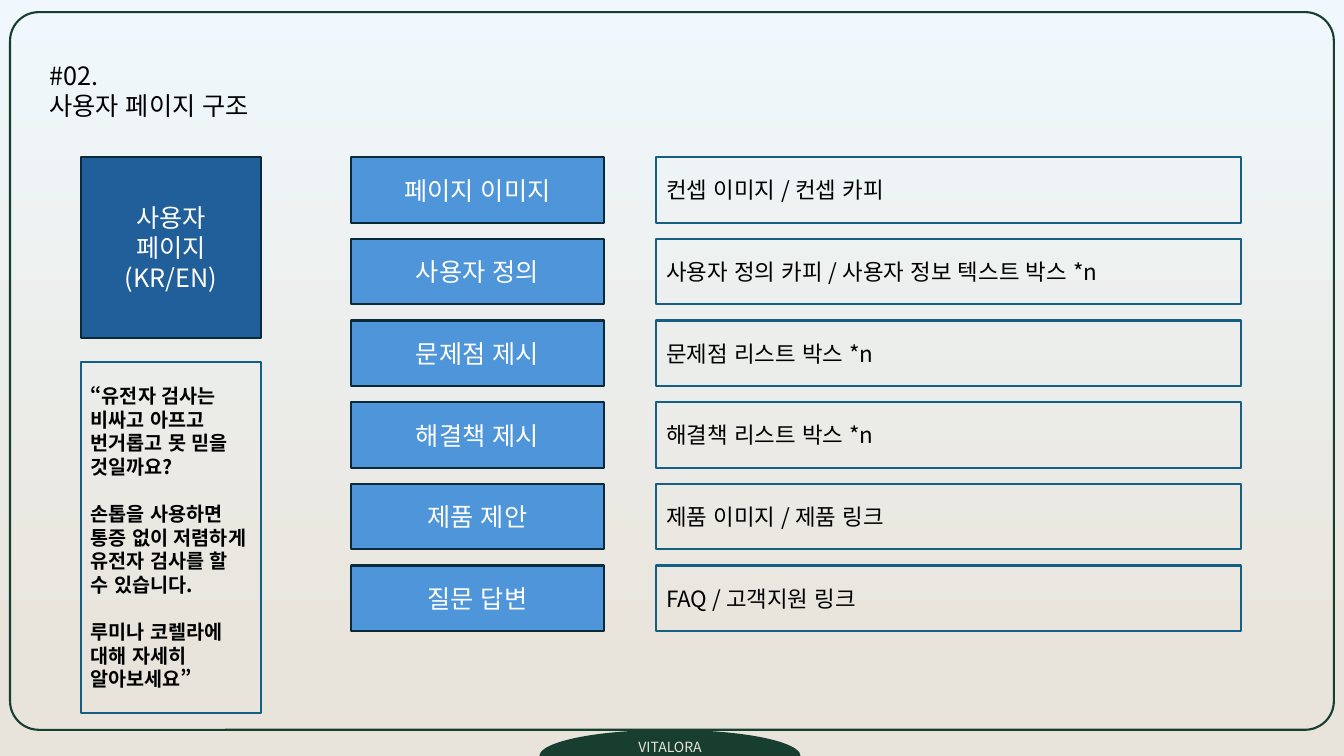
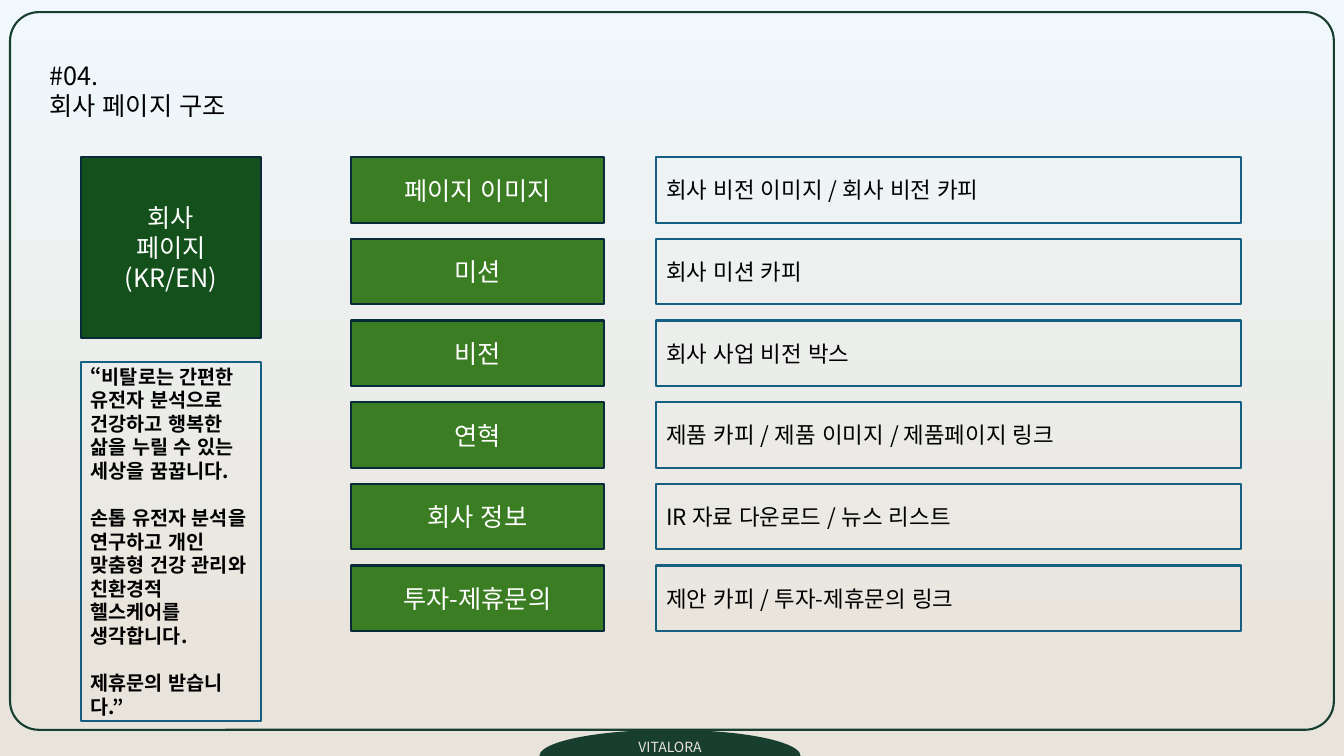
from dataclasses import dataclass
from typing import Optional

from lxml.etree import SubElement
from pptx import Presentation
from pptx.dml.color import RGBColor
from pptx.enum.lang import MSO_LANGUAGE_ID
from pptx.enum.shapes import MSO_SHAPE
from pptx.enum.text import MSO_ANCHOR, PP_ALIGN
from pptx.oxml.ns import qn
from pptx.util import Inches, Pt

WIDTH, HEIGHT = 13.33, 7.5
FONT = "Noto Sans CJK KR"
SKY, SAND, FOREST = "F0F8FD", "E8E4DB", "183E30"
NAVY, TEAL, BLACK, WHITE = "092A39", "156082", "000000", "FFFFFF"
ROW_TOP, ROW_PITCH, ROW_HEIGHT = 1.56, 0.81, 0.65
HERO_LEFT, HERO_SIDE, QUOTE_TOP = 0.8, 1.79, 3.59
SECTION_LEFT, SECTION_WIDTH = 3.48, 2.51
DETAIL_LEFT, DETAIL_WIDTH = 6.51, 5.8
TAB_WIDTH, TAB_HEIGHT, TAB_LEFT = 2.59, 0.52, 5.35


@dataclass(frozen=True)
class Box:
    """Place of an element in inches."""
    left: float
    top: float
    width: float
    height: float

    def emu(self) -> tuple:
        """Return the place as lengths for python-pptx."""
        return tuple(Inches(n) for n in (self.left, self.top, self.width, self.height))


@dataclass(frozen=True)
class Style:
    """Look of a text."""
    size: float
    color: str = BLACK
    bold: bool = False
    align: PP_ALIGN = PP_ALIGN.LEFT
    gap: float = 0


@dataclass(frozen=True)
class Page:
    """Content of one page-structure slide."""
    title: str
    hero: str
    hero_fill: str
    section_fill: str
    quote: str
    quote_height: float
    sections: tuple


TITLE = Style(18)
LABEL = Style(18, WHITE, align=PP_ALIGN.CENTER)
DETAIL = Style(16)
QUOTE = Style(14, bold=True, gap=17)
BRAND = Style(10, SAND, align=PP_ALIGN.CENTER)

PAGES = (
    Page(
        "#02.\v사용자 페이지 구조", "사용자\n페이지\n(KR/EN)", "215F9A", "4E95D9",
        "“유전자 검사는 비싸고 아프고 번거롭고 못 믿을 것일까요?\n"
        "손톱을 사용하면 통증 없이 저렴하게 유전자 검사를 할 수 있습니다.\n"
        "루미나 코렐라에 대해 자세히 알아보세요”", 3.48,
        (
            ("페이지 이미지", "컨셉 이미지 / 컨셉 카피"),
            ("사용자 정의", "사용자 정의 카피 / 사용자 정보 텍스트 박스 *n"),
            ("문제점 제시", "문제점 리스트 박스 *n"),
            ("해결책 제시", "해결책 리스트 박스 *n"),
            ("제품 제안", "제품 이미지 / 제품 링크"),
            ("질문 답변", "FAQ / 고객지원 링크"),
        ),
    ),
    Page(
        "#04.\v회사 페이지 구조", "회사\n페이지\n(KR/EN)", "13501B", "3B7D23",
        "“비탈로는 간편한 유전자 분석으로 건강하고 행복한 삶을 누릴 수 있는 세상을 꿈꿉니다.\n"
        "손톱 유전자 분석을 연구하고 개인 맞춤형 건강 관리와 친환경적 헬스케어를 생각합니다.\n"
        "제휴문의 받습니다.”", 3.56,
        (
            ("페이지 이미지", "회사 비전 이미지 / 회사 비전 카피"),
            ("미션", "회사 미션 카피"),
            ("비전", "회사 사업 비전 박스"),
            ("연혁", "제품 카피 / 제품 이미지 / 제품페이지 링크"),
            ("회사 정보", "IR 자료 다운로드 / 뉴스 리스트"),
            ("투자-제휴문의", "제안 카피 / 투자-제휴문의 링크"),
        ),
    ),
)


def rgb(value: str) -> RGBColor:
    """Turn a hex string into a colour."""
    return RGBColor.from_string(value)


def write(frame, text: str, style: Style, anchor=MSO_ANCHOR.MIDDLE) -> None:
    """Set and format the text of a frame."""
    frame.word_wrap = True
    frame.vertical_anchor = anchor
    frame.text = text
    for index, paragraph in enumerate(frame.paragraphs):
        paragraph.alignment = style.align
        if index and style.gap:
            paragraph.space_before = Pt(style.gap)
        for run in paragraph.runs:
            font = run.font
            font.size, font.bold, font.name = Pt(style.size), style.bold, FONT
            font.color.rgb = rgb(style.color)
            font.language_id = MSO_LANGUAGE_ID.KOREAN
            SubElement(run._r.get_or_add_rPr(), qn("a:ea")).set("typeface", FONT)


def add_outline(slide, kind: MSO_SHAPE, box: Box, fill: Optional[str], line: Optional[str]):
    """Draw a preset shape with an optional fill and line."""
    shape = slide.shapes.add_shape(kind, *box.emu())
    shape.shadow.inherit = False
    if fill:
        shape.fill.solid()
        shape.fill.fore_color.rgb = rgb(fill)
    else:
        shape.fill.background()
    if line:
        shape.line.color.rgb = rgb(line)
        shape.line.width = Pt(1.5)
    else:
        shape.line.fill.background()
    return shape


def add_card(slide, box: Box, text: str, style: Style, line: str, fill: Optional[str] = None) -> None:
    """Draw a rectangle that holds text."""
    card = add_outline(slide, MSO_SHAPE.RECTANGLE, box, fill, line)
    write(card.text_frame, text, style)


def add_label(slide, box: Box, text: str, style: Style, anchor: MSO_ANCHOR, inset: bool = True) -> None:
    """Place free text."""
    frame = slide.shapes.add_textbox(*box.emu()).text_frame
    if not inset:
        frame.margin_top = frame.margin_bottom = 0
    write(frame, text, style, anchor)


def paint_background(slide) -> None:
    """Fill the slide from sky at the top to sand at the bottom."""
    fill = slide.background.fill
    fill.gradient()
    fill.gradient_angle = 270
    for stop, color, position in zip(fill.gradient_stops, (SKY, SAND), (0, 0.9)):
        stop.color.rgb = rgb(color)
        stop.position = position


def add_frame(slide) -> None:
    """Draw the footer tab and the rounded border."""
    tab_box = Box(TAB_LEFT, HEIGHT - TAB_HEIGHT / 2, TAB_WIDTH, TAB_HEIGHT)
    tab = add_outline(slide, MSO_SHAPE.CHORD, tab_box, FOREST, None)
    tab.adjustments[0], tab.adjustments[1] = 108, 216
    brand_box = Box(TAB_LEFT, 7.28, TAB_WIDTH, TAB_HEIGHT / 2)
    add_label(slide, brand_box, "VITALORA", BRAND, MSO_ANCHOR.MIDDLE, inset=False)
    border = add_outline(slide, MSO_SHAPE.ROUNDED_RECTANGLE, Box(0.1, 0.12, 13.13, 7.12), None, FOREST)
    border.adjustments[0] = 0.04


def add_page(deck, page: Page) -> None:
    """Build one page-structure slide."""
    slide = deck.slides.add_slide(deck.slide_layouts[6])
    paint_background(slide)
    add_label(slide, Box(0.39, 0.55, 5.33, 1.01), page.title, TITLE, MSO_ANCHOR.TOP)
    hero_box = Box(HERO_LEFT, ROW_TOP, HERO_SIDE, HERO_SIDE)
    add_card(slide, hero_box, page.hero, LABEL, NAVY, page.hero_fill)
    for row, (section, detail) in enumerate(page.sections):
        top = ROW_TOP + row * ROW_PITCH
        section_box = Box(SECTION_LEFT, top, SECTION_WIDTH, ROW_HEIGHT)
        add_card(slide, section_box, section, LABEL, NAVY, page.section_fill)
        add_card(slide, Box(DETAIL_LEFT, top, DETAIL_WIDTH, ROW_HEIGHT), detail, DETAIL, TEAL)
    quote_box = Box(HERO_LEFT, QUOTE_TOP, HERO_SIDE, page.quote_height)
    add_card(slide, quote_box, page.quote, QUOTE, TEAL)
    add_frame(slide)


def main() -> None:
    """Build and save the deck."""
    deck = Presentation()
    deck.slide_width, deck.slide_height = Inches(WIDTH), Inches(HEIGHT)
    for page in PAGES:
        add_page(deck, page)
    deck.save("out.pptx")


if __name__ == "__main__":
    main()
